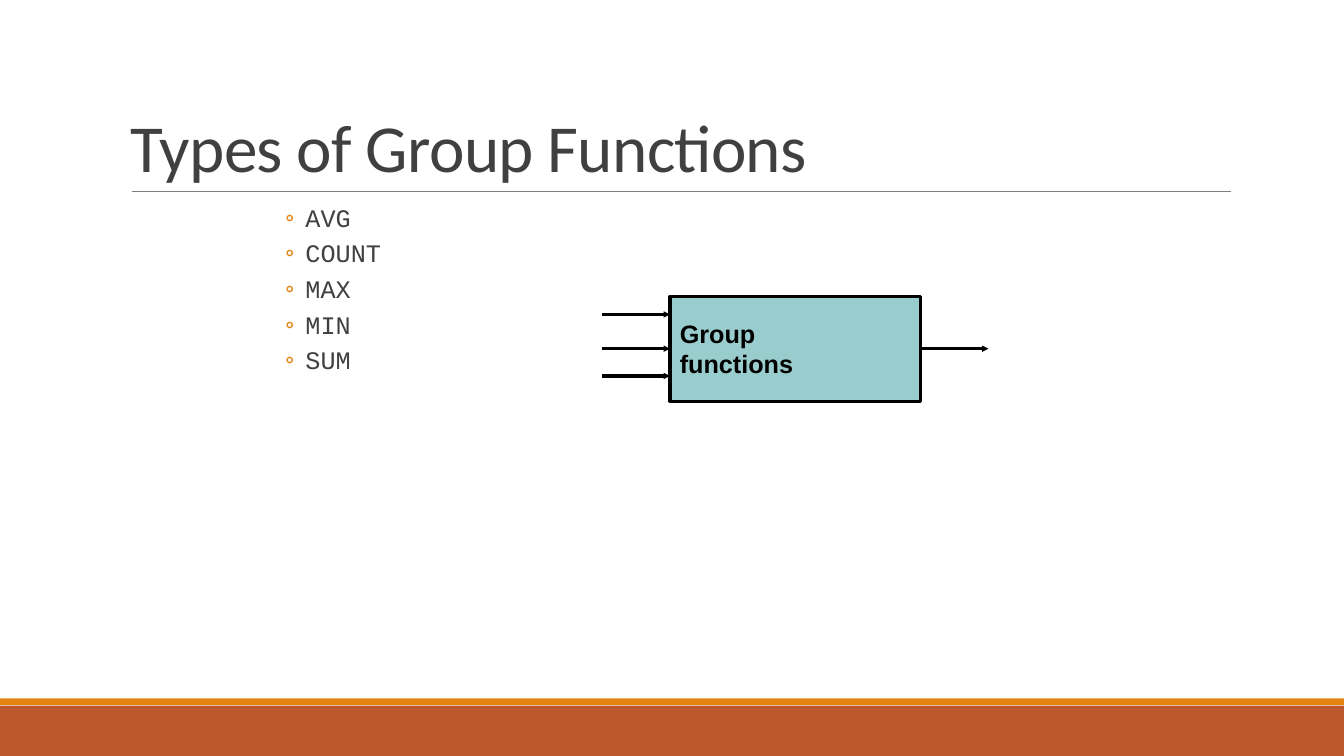
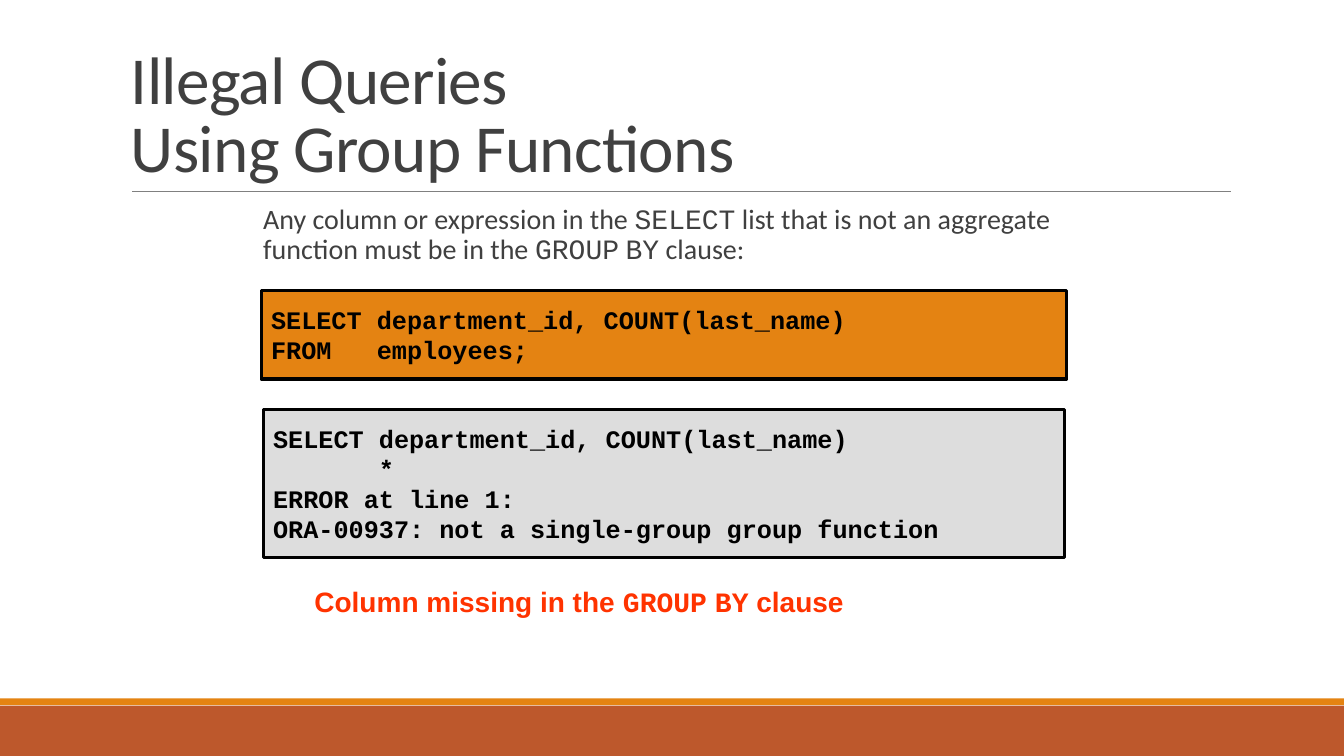
from dataclasses import dataclass

from pptx import Presentation
from pptx.dml.color import RGBColor as RGB
from pptx.enum.shapes import MSO_CONNECTOR as CONN, MSO_SHAPE as SHAPE
from pptx.enum.text import MSO_ANCHOR as ANCHOR, PP_ALIGN as ALIGN
from pptx.oxml.ns import qn
from pptx.util import Inches, Pt
from lxml.etree import SubElement


@dataclass(frozen=True)
class Theme:
    rust: str = "BD582C"
    orange: str = "E48312"
    teal: str = "99CCCC"
    silver: str = "DDDDDD"
    gray: str = "808080"
    text: str = "404040"
    black: str = "000000"
    alert: str = "FF3300"
    body: str = "Calibri"
    label: str = "Arial"
    mono: str = "Courier New"
    title_size: float = 48
    body_size: float = 20
    code_size: float = 18
    rule: float = 0.5
    outline: float = 2.25


class Deck:
    COLS = ROWS = 100

    def __init__(self, theme):
        self.t = theme
        self.prs = Presentation()
        self.prs.slide_width = Inches(13.333)
        self.prs.slide_height = Inches(7.5)
        self.s = None

    def x(self, cols):
        return round(self.prs.slide_width * cols / self.COLS)

    def y(self, rows):
        return round(self.prs.slide_height * rows / self.ROWS)

    def at(self, col, row, cols, rows):
        return self.x(col), self.y(row), self.x(cols), self.y(rows)

    def slide(self, title):
        self.s = self.prs.slides.add_slide(self.prs.slide_layouts[6])
        self.rect((0, 93.33, 100, 6.67), self.t.rust)
        self.rect((0, 92.36, 100, 0.9), self.t.orange)
        self.line((9.83, 25.33), (91.58, 25.33), self.t.gray, self.t.rule)
        tf = self.frame((9, 4.13, 82.5, 21.2), ANCHOR.BOTTOM)
        p = tf.paragraphs[0]
        p.text = title
        p.line_spacing = 0.85
        self.style(p, self.t.body, self.t.title_size, self.t.text)
        for r in p.runs:
            r.font._element.set("spc", "-50")

    def rect(self, at, fill, outline=None):
        sp = self.s.shapes.add_shape(SHAPE.RECTANGLE, *self.at(*at))
        sp.shadow.inherit = False
        sp.fill.solid()
        sp.fill.fore_color.rgb = RGB.from_string(fill)
        if outline:
            sp.line.color.rgb = RGB.from_string(outline)
            sp.line.width = Pt(self.t.outline)
        else:
            sp.line.fill.background()
        return sp

    def line(self, start, end, color, width):
        ln = self.s.shapes.add_connector(
            CONN.STRAIGHT, self.x(start[0]), self.y(start[1]),
            self.x(end[0]), self.y(end[1]))
        ln.line.color.rgb = RGB.from_string(color)
        ln.line.width = Pt(width)
        SubElement(ln._element.spPr, qn("a:effectLst"))
        return ln

    def arrow(self, col, row, cols):
        ln = self.line((col, row), (col + cols, row), self.t.black, self.t.outline)
        SubElement(ln.line._get_or_add_ln(), qn("a:tailEnd"),
                   type="triangle", w="sm", len="sm")

    def frame(self, at, anchor=ANCHOR.TOP, inset=0.1):
        tf = self.s.shapes.add_textbox(*self.at(*at)).text_frame
        tf.word_wrap = True
        tf.vertical_anchor = anchor
        tf.margin_left = tf.margin_right = Inches(inset)
        return tf

    def style(self, p, font, size, color, bold=False):
        p.alignment = ALIGN.LEFT
        for r in p.runs:
            r.font.name = font
            r.font.size = Pt(size)
            r.font.bold = bold
            r.font.color.rgb = RGB.from_string(color)

    def box(self, at, fill, text, font):
        tf = self.rect(at, fill, self.t.black).text_frame
        tf.word_wrap = True
        tf.vertical_anchor = ANCHOR.MIDDLE
        tf.text = text
        for p in tf.paragraphs:
            self.style(p, font, self.t.code_size, self.t.black, True)

    def bullets(self, at, items):
        tf = self.frame(at, inset=0)
        tf.text = "\n".join(items)
        for p in tf.paragraphs:
            self.style(p, self.t.mono, self.t.code_size, self.t.text)
            p.line_spacing = 0.9
            p.space_before, p.space_after = Pt(2), Pt(4)
            pPr = p._p.get_or_add_pPr()
            pPr.set("marL", str(Inches(0.42)))
            pPr.set("indent", str(Inches(-0.2)))
            clr = SubElement(pPr, qn("a:buClr"))
            SubElement(clr, qn("a:srgbClr"), val=self.t.orange)
            SubElement(pPr, qn("a:buFont"), typeface=self.t.body)
            SubElement(pPr, qn("a:buChar"), char="◦")

    def mixed(self, at, text, font, color, bold=False, inset=0.1):
        p = self.frame(at, inset=inset).paragraphs[0]
        parts = text.split("`")
        for part in parts:
            p.add_run().text = part
        self.style(p, font, self.t.body_size, color, bold)
        for r in p.runs[1::2]:
            r.font.name = self.t.mono
        return p


def group_functions(d):
    d.slide("Types of Group Functions")
    d.bullets((19.58, 26.53, 60.45, 29.07), ["AVG", "COUNT", "MAX", "MIN", "SUM"])
    left, width, reach, middle = 49.85, 18.65, 5.05, 46.13
    d.box((left, 39.2, width, 13.87), d.t.teal, "Group\nfunctions", d.t.label)
    for row in (41.6, middle, 49.73):
        d.arrow(left - reach, row, reach)
    d.arrow(left + width, middle, reach)


def illegal_queries(d):
    d.slide("Illegal Queries\vUsing Group Functions")
    p = d.mixed((19.58, 26.53, 60.45, 10.13),
                "Any column or expression in the `SELECT` list that is not an "
                "aggregate function must be in the `GROUP` `BY` clause:",
                d.t.body, d.t.text, inset=0)
    p.line_spacing = 0.9
    p.space_before, p.space_after = Pt(12), Pt(2)
    query = "SELECT department_id, COUNT(last_name)\n"
    d.box((19.43, 38.4, 59.93, 11.73), d.t.orange,
          query + "FROM   employees;", d.t.mono)
    d.box((19.58, 54.13, 59.63, 19.6), d.t.silver,
          query + "       *\nERROR at line 1:\n"
          "ORA-00937: not a single-group group function", d.t.mono)
    d.mixed((22.65, 76.67, 54.23, 5.87),
            "Column missing in the `GROUP` `BY` clause",
            d.t.label, d.t.alert, bold=True)


def main():
    d = Deck(Theme())
    group_functions(d)
    illegal_queries(d)
    d.prs.save("out.pptx")


if __name__ == "__main__":
    main()
